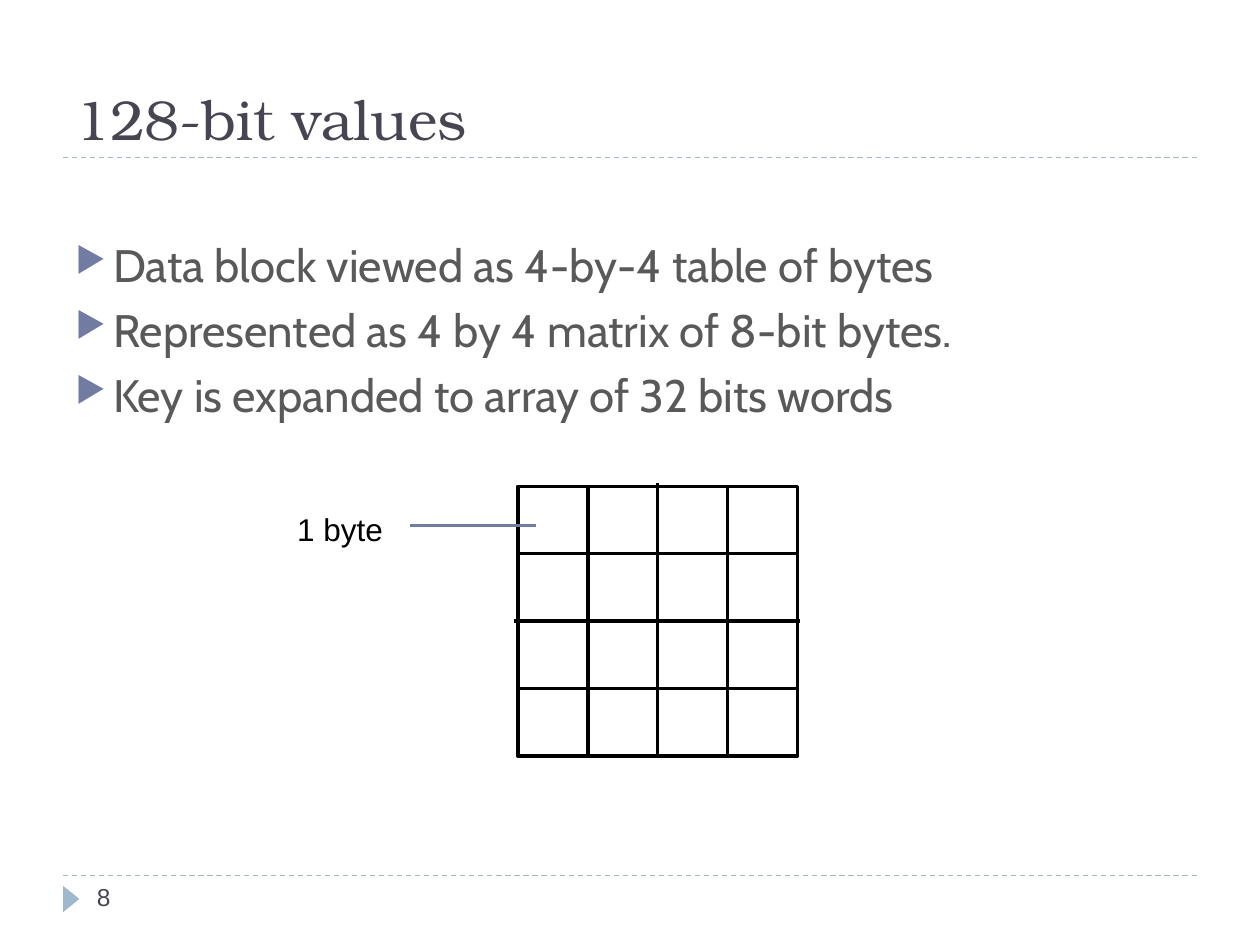
from lxml.etree import SubElement
from pptx import Presentation
from pptx.dml.color import RGBColor
from pptx.enum.dml import MSO_LINE
from pptx.enum.shapes import MSO_CONNECTOR, MSO_SHAPE
from pptx.enum.text import MSO_ANCHOR
from pptx.oxml.ns import qn
from pptx.util import Inches, Pt

INK, GREY, BLUE, PALE = "464653", "595959", "727CA3", "9FB8CD"
BLACK, WHITE = "000000", "FFFFFF"
POINTS = [
    "Data block viewed as 4-by-4 table of bytes",
    "Represented as 4 by 4 matrix of 8-bit bytes.",
    "Key is expanded to array of 32 bits words",
]


def paint(target, color):
    """Give a fill, or the fill of a line, a solid colour."""
    target.solid()
    target.fore_color.rgb = RGBColor.from_string(color)


def add_line(slide, start, end, color, width, dash=None):
    """Draw a straight line without a shadow."""
    line = slide.shapes.add_connector(
        MSO_CONNECTOR.STRAIGHT, *map(Inches, start + end))
    paint(line.line.fill, color)
    line.line.width = Pt(width)
    if dash:
        line.line.dash_style = dash
    SubElement(line._element.spPr, qn("a:effectLst"))


def add_shape(slide, kind, box, fill=None, edge=None):
    """Draw a preset shape with an optional fill and outline."""
    shape = slide.shapes.add_shape(kind, *map(Inches, box))
    shape.shadow.inherit = False
    if fill:
        paint(shape.fill, fill)
    else:
        shape.fill.background()
    if edge:
        paint(shape.line.fill, edge)
        shape.line.width = Pt(2)
    else:
        shape.line.fill.background()
    return shape


def add_bullet(para):
    """Set a hanging indent and a coloured triangle bullet."""
    props = para._p.get_or_add_pPr()
    props.set("marL", str(Inches(0.3)))
    props.set("indent", str(-Inches(0.3)))
    color = SubElement(props, qn("a:buClr"))
    SubElement(color, qn("a:srgbClr"), val=BLUE)
    SubElement(props, qn("a:buSzPct"), val="76000")
    SubElement(props, qn("a:buChar"), char="▶")


def add_text(slide, box, lines, font, size, color,
             anchor=MSO_ANCHOR.TOP, wrap=True, bullet=False):
    """Write lines of text in one box."""
    frame = slide.shapes.add_textbox(*map(Inches, box)).text_frame
    frame.word_wrap = wrap
    frame.vertical_anchor = anchor
    frame.text = "\n".join(lines)
    for index, para in enumerate(frame.paragraphs):
        if bullet:
            add_bullet(para)
        if index:
            para.space_before = Pt(6)
        para.font.name = font
        para.font.size = Pt(size)
        para.font.color.rgb = RGBColor.from_string(color)


def add_grid(slide):
    """Draw the 4-by-4 byte table from nested boxes and middle lines."""
    left, top, width, height = 4.11, 3.86, 2.22, 2.14
    mid_x, mid_y = left + width / 2, top + height / 2
    boxes = [
        ((left, top, width, height), WHITE),
        ((left + width / 4, top, width / 2, height), WHITE),
        ((left, top + height / 4, width, height / 2), None),
    ]
    for box, fill in boxes:
        add_shape(slide, MSO_SHAPE.RECTANGLE, box, fill, BLACK)
    add_line(slide, (mid_x, 3.83), (mid_x, 6.01), BLACK, 2)
    add_line(slide, (4.08, mid_y), (6.35, mid_y), BLACK, 2)


def main():
    """Build the slide and save it."""
    deck = Presentation()
    deck.slide_width, deck.slide_height = Inches(10), Inches(7.5)
    slide = deck.slides.add_slide(deck.slide_layouts[6])
    for y in (6.95, 1.25):
        add_line(slide, (0.5, y), (9.5, y), PALE, 0.75, MSO_LINE.DASH)
    mark = add_shape(slide, MSO_SHAPE.ISOSCELES_TRIANGLE,
                     (0.46, 7.07, 0.21, 0.13), PALE)
    mark.rotation = 90
    add_text(slide, (0.5, 0.17, 9, 1.08), ["128-bit values"],
             "TeX Gyre Bonum", 32, INK, anchor=MSO_ANCHOR.BOTTOM)
    add_text(slide, (0.67, 6.95, 2.17, 0.4), ["8"], "Arial", 14, INK)
    add_text(slide, (0.5, 1.83, 9, 2.67), POINTS, "Cabin", 26, GREY,
             bullet=True)
    add_grid(slide)
    add_text(slide, (2.26, 4, 0.88, 0.4), ["1 byte"], "Arial", 18, BLACK,
             wrap=False)
    add_line(slide, (3.25, 4.17), (4.25, 4.17), BLUE, 1.5)
    deck.save("out.pptx")


if __name__ == "__main__":
    main()
